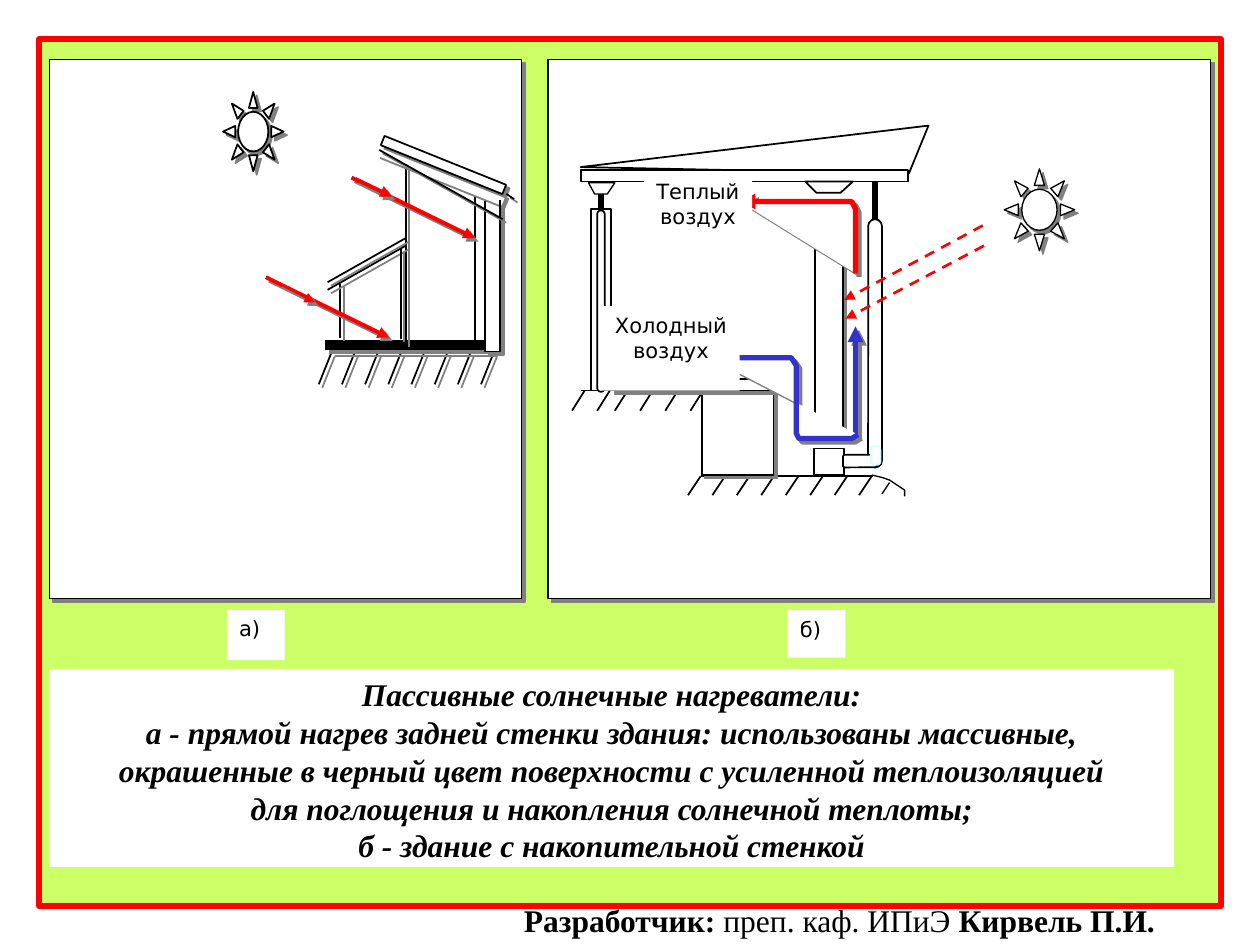
from lxml import etree
from pptx import Presentation
from pptx import util as u
from pptx.dml.color import RGBColor
from pptx.enum import dml, shapes, text
from pptx.oxml.ns import qn

INK, WHITE, RED, BLUE, GREY = "000000", "FFFFFF", "FF0000", "3333CC", "808080"
SANS, SERIF = "DejaVu Sans", "Times New Roman"
KIND = shapes.MSO_SHAPE


def inch(value):
    """The drawing is measured on an inch grid; lengths are given in cm."""
    return u.Cm(value * 2.54)


def rgb(code):
    return RGBColor.from_string(code)


def add_effects(shape, shadow):
    """End the shape's properties with a hard offset shadow or with none."""
    effects = etree.SubElement(shape._element.spPr, qn("a:effectLst"))
    if shadow:
        cast = etree.SubElement(effects, qn("a:outerShdw"), dist="35921",
                                dir="2700000", algn="ctr", rotWithShape="0")
        etree.SubElement(cast, qn("a:srgbClr"), val=GREY)


def style_line(shape, color, width, arrow=False, dashed=False):
    shape.line.color.rgb = rgb(color)
    shape.line.width = u.Pt(width)
    if dashed:
        shape.line.dash_style = dml.MSO_LINE.DASH
    if arrow:
        outline = shape._element.spPr.find(qn("a:ln"))
        etree.SubElement(outline, qn("a:tailEnd"), type="triangle")


def block(slide, box, kind=KIND.RECTANGLE, fill=WHITE, line=INK, width=1,
          shadow=False, adjust=None, turn=0):
    shape = slide.shapes.add_shape(kind, *map(inch, box))
    shape.rotation = turn
    if adjust is not None:
        shape.adjustments[0] = adjust
    shape.fill.solid()
    shape.fill.fore_color.rgb = rgb(fill)
    if line:
        style_line(shape, line, width)
    else:
        shape.line.fill.background()
    add_effects(shape, shadow)
    return shape


def stroke(slide, start, end, color=INK, width=1, shadow=False, arrow=False,
           dashed=False):
    line = slide.shapes.add_connector(shapes.MSO_CONNECTOR.STRAIGHT,
                                      *map(inch, start + end))
    style_line(line, color, width, arrow, dashed)
    add_effects(line, shadow)
    return line


def outline(slide, points, close=False, color=INK, width=1, shadow=False,
            arrow=False):
    corners = [(inch(x), inch(y)) for x, y in points]
    builder = slide.shapes.build_freeform(*corners[0])
    builder.add_line_segments(corners[1:], close=close)
    shape = builder.convert_to_shape()
    shape.fill.solid()
    shape.fill.fore_color.rgb = rgb(WHITE)
    style_line(shape, color, width, arrow)
    add_effects(shape, shadow)


def hatch(slide, left, top, count, step, lean, depth, shadow=False):
    """Slanted ground marks hanging from the level top."""
    for i in range(count):
        x = left + i * step
        stroke(slide, (x, top + depth), (x + lean, top), shadow=shadow)


def label(slide, box, lines, size=12, font=SANS, strong=False,
          align=text.PP_ALIGN.CENTER):
    frame = block(slide, box, line=None).text_frame
    frame.word_wrap = True
    frame.vertical_anchor = text.MSO_ANCHOR.TOP
    frame.text = "\n".join(lines)
    for paragraph in frame.paragraphs:
        paragraph.alignment = align
        style_font(paragraph.font, size, font)
        paragraph.font.bold = paragraph.font.italic = strong


def style_font(font, size, name):
    font.size, font.name = u.Pt(size), name
    font.color.rgb = rgb(INK)


def draw_direct_heating(slide):
    """House a: sunlight falls straight on the massive back wall."""
    block(slide, (0.39, 0.47, 3.75, 4.28), width=0.75, shadow=True)
    block(slide, (3.77, 1.56, 0.12, 1.19), shadow=True)
    hatch(slide, 2.53, 2.8, 8, 0.184, 0.1, 0.25, shadow=True)
    stroke(slide, (2.63, 2.8), (3.92, 2.8), shadow=True)
    stroke(slide, (2.58, 2.74), (3.85, 2.74), width=6, shadow=True)
    block(slide, (3.85, 1.6, 0.12, 1.19), shadow=True)
    stroke(slide, (3.22, 1.27), (3.22, 2.73), shadow=True)

    block(slide, (2.97, 1.35, 1.06, 0.08), line=WHITE, shadow=True, turn=21.9)
    stroke(slide, (3.01, 1.19), (3.99, 1.74), shadow=True)
    stroke(slide, (3.97, 1.72), (3.97, 1.59), shadow=True)
    block(slide, (3, 1.27, 1.04, 0.08), shadow=True, turn=21.9)

    eave_and_porch = [
        ((4.02, 1.54), (4.08, 1.58)), ((2.7, 2.68), (2.7, 2.25)),
        ((2.6, 2.3), (3.22, 1.95)), ((2.6, 2.24), (3.22, 1.89)),
        ((3.18, 1.97), (3.18, 2.69)),
    ]
    for start, end in eave_and_porch:
        stroke(slide, start, end, shadow=True)

    rays = [
        ((2.79, 1.41), (3.77, 1.89), 2.25), ((2.82, 1.42), (3.11, 1.56), 2.25),
        ((2.11, 2.2), (3.09, 2.68), 2.25), ((2.21, 2.25), (2.5, 2.4), 1),
    ]
    for start, end, width in rays:
        stroke(slide, start, end, RED, width, shadow=True, arrow=True)
    block(slide, (1.77, 0.73, 0.48, 0.63), KIND.SUN, shadow=True, adjust=0.25)


def draw_storage_wall(slide):
    """House b: air circulates around a heat-storing wall."""
    block(slide, (4.35, 0.47, 5.26, 4.28), width=0.75, shadow=True)
    block(slide, (4.69, 1.66, 0.16, 1.44))
    block(slide, (4.62, 1.16, 2.78, 0.36), KIND.ISOSCELES_TRIANGLE,
          adjust=0.072, turn=173.2)
    hatch(slide, 5.46, 3.78, 8, 0.194, 0.1, 0.15)
    stroke(slide, (5.56, 3.78), (6.93, 3.78))
    hatch(slide, 4.54, 3.1, 2, 0.2, 0.1, 0.16)
    hatch(slide, 4.88, 3.1, 4, 0.2, 0.1, 0.16)
    stroke(slide, (4.61, 3.1), (5.98, 3.1))
    block(slide, (5.57, 3.1, 0.57, 0.67), shadow=True)
    block(slide, (4.85, 3.01, 1.29, 0.09), shadow=True)

    front_post = block(slide, (4.74, 1.67, 0.06, 1.44),
                       KIND.ROUNDED_RECTANGLE, adjust=0.5)
    front_hanger = stroke(slide, (4.77, 1.67), (4.77, 1.51), width=3)
    front_hanger.begin_connect(front_post, 0)
    block(slide, (6.46, 3.56, 0.24, 0.21), width=0.75)
    block(slide, (6.47, 1.7, 0.22, 1.72), shadow=True)
    block(slide, (4.61, 1.35, 2.6, 0.09))
    outline(slide, [(4.67, 1.45), (4.72, 1.54), (4.82, 1.54), (4.88, 1.45)],
            close=True, width=0.75)
    outline(slide, [(6.39, 1.44), (6.48, 1.53), (6.67, 1.53), (6.77, 1.44)],
            close=True)
    glazing = block(slide, (6.89, 1.74, 0.11, 1.97),
                    KIND.ROUNDED_RECTANGLE, adjust=0.5)
    glazing_hanger = stroke(slide, (6.94, 1.74), (6.94, 1.44), width=3)
    glazing_hanger.begin_connect(glazing, 0)
    glazing_hanger.end_x = glazing_hanger.begin_x
    block(slide, (6.69, 3.61, 0.27, 0.1), KIND.ROUNDED_RECTANGLE, adjust=0.167)
    block(slide, (6.91, 3.54, 0.08, 0.15), KIND.ROUNDED_RECTANGLE,
          line="CCFFFF", width=0.75, adjust=0.362)

    stroke(slide, (6.79, 3.47), (6.79, 2.59), BLUE, 3, shadow=True, arrow=True)
    cold_flow = [(5.63, 2.84), (6.28, 2.84), (6.32, 2.9), (6.32, 3.44),
                 (6.34, 3.48), (6.76, 3.48), (6.81, 3.45)]
    outline(slide, cold_flow, color=BLUE, width=3, shadow=True)
    warm_flow = [(6.79, 2.17), (6.79, 1.66), (6.76, 1.6), (5.87, 1.6)]
    outline(slide, warm_flow, color=RED, width=3, shadow=True, arrow=True)

    block(slide, (7.97, 1.34, 0.56, 0.65), KIND.SUN, width=0.75, shadow=True,
          adjust=0.25)
    for start, end in [((7.8, 1.79), (6.7, 2.38)), ((7.81, 1.95), (6.71, 2.53))]:
        stroke(slide, start, end, RED, 1.5, arrow=True, dashed=True)
    outline(slide, [(6.92, 3.77), (7, 3.79), (7.06, 3.81), (7.18, 3.89),
                    (7.18, 3.94)], width=0.75)
    stroke(slide, (7, 3.92), (7.06, 3.83), width=0.75)
    label(slide, (5.11, 1.37, 0.86, 0.67), ["Теплый", "воздух"])
    label(slide, (4.78, 2.43, 1.09, 0.67), ["Холодный", "воздух"])


def add_credit(slide):
    box = slide.shapes.add_textbox(*map(inch, (4.06, 7.1, 5.55, 0.4)))
    box.text_frame.word_wrap = True
    paragraph = box.text_frame.paragraphs[0]
    style_font(paragraph.font, 18, SERIF)
    for words, bold in [("Разработчик: ", True), ("преп. каф. ИПиЭ ", False),
                        ("Кирвель П.И.", True)]:
        run = paragraph.add_run()
        run.text = words
        run.font.bold = bold


def main():
    deck = Presentation()
    deck.slide_width, deck.slide_height = inch(10), inch(7.5)
    slide = deck.slides.add_slide(deck.slide_layouts[6])
    block(slide, (0.31, 0.31, 9.38, 6.88), fill="CCFF66", line=RED, width=3.35)
    label(slide, (0.39, 5.31, 8.93, 1.57), [
        "Пассивные солнечные нагреватели:",
        "а - прямой нагрев задней стенки здания: использованы массивные,",
        "окрашенные в черный цвет поверхности с усиленной теплоизоляцией",
        "для поглощения и накопления солнечной теплоты;",
        "б - здание с накопительной стенкой",
    ], size=18, font=SERIF, strong=True)
    draw_direct_heating(slide)
    draw_storage_wall(slide)
    for left, height, mark in [(1.8, 0.4, "а)"), (6.25, 0.38, "б)")]:
        label(slide, (left, 4.84, 0.46, height), [mark],
              align=text.PP_ALIGN.LEFT)
    add_credit(slide)
    deck.save("out.pptx")


if __name__ == "__main__":
    main()
